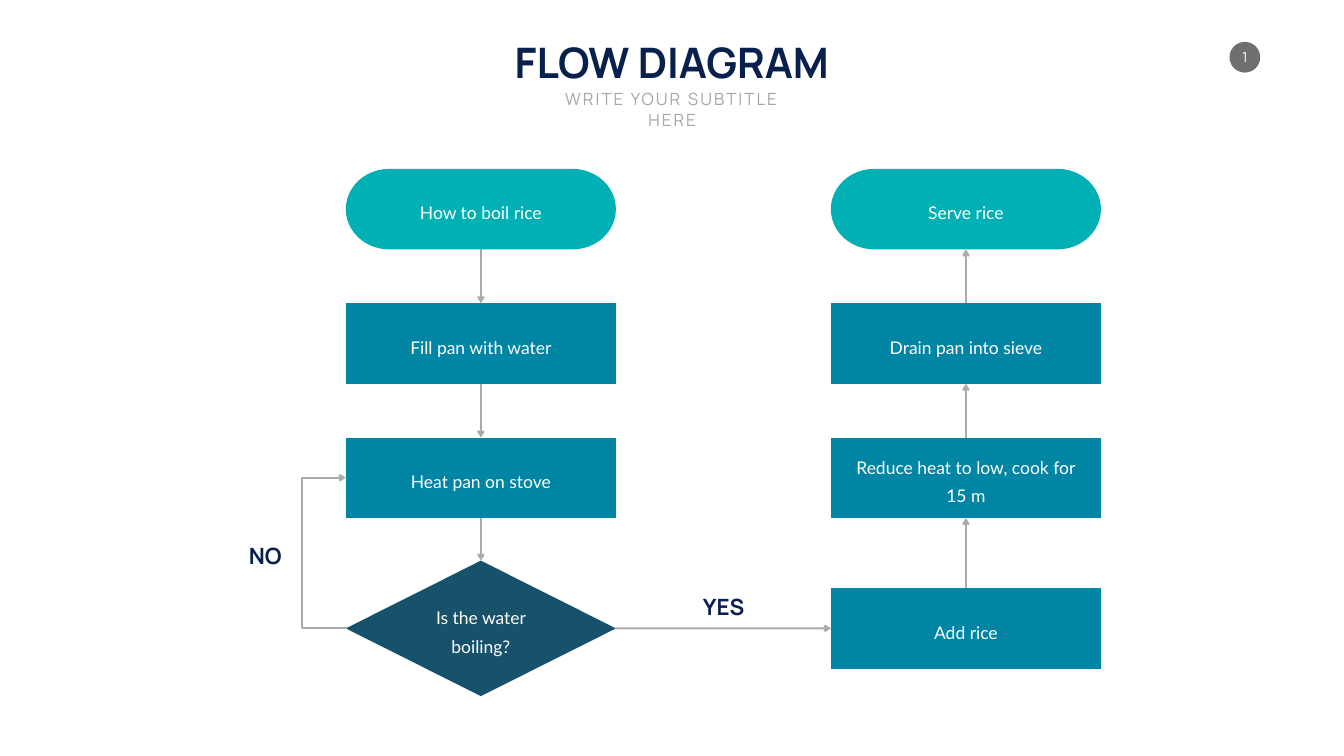
from dataclasses import dataclass

from lxml import etree
from pptx import Presentation
from pptx import util as u
from pptx.dml.color import RGBColor
from pptx.enum import shapes, text
from pptx.oxml.ns import qn


@dataclass(frozen=True)
class Theme:
    navy: str = "08204D"
    teal: str = "00B0B5"
    blue: str = "0085A4"
    slate: str = "18526A"
    line: str = "AAAAAA"
    muted: str = "A6A6A6"
    badge: str = "6D706D"
    white: str = "FFFFFF"
    heading_font: str = "Manrope"
    body_font: str = "Lato"
    title_size: float = 60
    subtitle_size: float = 24
    answer_size: float = 32
    node_size: float = 25
    badge_size: float = 20
    node_leading: float = 41
    line_width: float = 3


THEME = Theme()
COLUMNS = (24.23, 48.67)
ROWS = (10.54, 17.31, 24.08, 31.67)
NODE_W, NODE_H = 13.61, 4.06
DECISION_H = 6.83
LABEL_W, DECISION_LABEL_W = 12.47, 7.62
LABEL_HEIGHTS = {1: 1.57, 2: 3.05}
LOOP_X, LOOP_STEP = 15.24, 0.04
TOP, LEFT, BOTTOM, RIGHT = range(4)
KIND = shapes.MSO_SHAPE
ALIGN = text.PP_ALIGN

STYLES = {
    "terminator": (KIND.FLOWCHART_TERMINATOR, THEME.teal, NODE_H, LABEL_W),
    "process": (KIND.FLOWCHART_PROCESS, THEME.blue, NODE_H, LABEL_W),
    "decision": (KIND.FLOWCHART_DECISION, THEME.slate, DECISION_H, DECISION_LABEL_W),
}
NODES = {
    "start": ("terminator", 0, 0, ["How to boil rice"], 1),
    "serve": ("terminator", 1, 0, ["Serve rice"], 1),
    "fill": ("process", 0, 1, ["Fill pan with water"], 1),
    "drain": ("process", 1, 1, ["Drain pan into sieve"], 1),
    "heat": ("process", 0, 2, ["Heat pan on stove"], 1),
    "reduce": ("process", 1, 2, ["Reduce heat to low, cook for", "15 m"], 2),
    "boiling": ("decision", 0, 3, ["Is the water boiling?"], 2),
    "add": ("process", 1, 3, ["Add rice"], 1),
}
ARROWS = [
    ("start", BOTTOM, "fill", TOP),
    ("fill", BOTTOM, "heat", TOP),
    ("heat", BOTTOM, "boiling", TOP),
    ("boiling", RIGHT, "add", LEFT),
    ("add", TOP, "reduce", BOTTOM),
    ("reduce", TOP, "drain", BOTTOM),
    ("drain", TOP, "serve", BOTTOM),
]


def set_all(target, values):
    for name, value in values.items():
        setattr(target, name, value)


def box_cm(*lengths):
    return [u.Cm(length) for length in lengths]


def add_text(s, box, lines, size, color, font=THEME.heading_font, bold=False,
             align=ALIGN.CENTER, leading=None, tracking=None, frame=None):
    tf = s.shapes.add_textbox(*box_cm(*box)).text_frame
    set_all(tf, {"word_wrap": False, "auto_size": text.MSO_AUTO_SIZE.SHAPE_TO_FIT_TEXT,
                 **(frame or {})})
    for i, line in enumerate(lines):
        p = tf.add_paragraph() if i else tf.paragraphs[0]
        p.alignment = align
        if leading:
            p.line_spacing = u.Pt(leading)
        r = p.add_run()
        r.text = line
        set_all(r.font, {"name": font, "size": u.Pt(size), "bold": bold})
        r.font.color.rgb = RGBColor.from_string(color)
        if tracking:
            r.font._element.set("spc", str(tracking * 100))


def add_fill_shape(s, kind, box, color):
    sp = s.shapes.add_shape(kind, *box_cm(*box))
    sp.shadow.inherit = False
    sp.fill.solid()
    sp.fill.fore_color.rgb = RGBColor.from_string(color)
    sp.line.fill.background()
    return sp


def add_node(s, style, column, row, lines, line_count):
    kind, color, height, label_w = STYLES[style]
    x, y = COLUMNS[column], ROWS[row]
    label_h = LABEL_HEIGHTS[line_count]
    sp = add_fill_shape(s, kind, (x - NODE_W / 2, y - height / 2, NODE_W, height), color)
    add_text(s, (x - label_w / 2, y - label_h / 2, label_w, label_h), lines,
             THEME.node_size, THEME.white, THEME.body_font, leading=THEME.node_leading,
             frame={"word_wrap": True, "vertical_anchor": text.MSO_ANCHOR.MIDDLE})
    return sp


def add_arrow(s, kind, start=(0, 0), end=(0, 0)):
    c = s.shapes.add_connector(kind, *box_cm(*start, *end))
    c.line.width = u.Pt(THEME.line_width)
    c.line.color.rgb = RGBColor.from_string(THEME.line)
    etree.SubElement(c.line._get_or_add_ln(), qn("a:tailEnd"), type="arrow")
    etree.SubElement(c._element.spPr, qn("a:effectLst"))
    return c


def link_nodes(s, source, source_side, target, target_side):
    c = add_arrow(s, shapes.MSO_CONNECTOR.STRAIGHT)
    c.begin_connect(source, source_side)
    c.end_connect(target, target_side)


def add_loop(s):
    x = COLUMNS[0] - NODE_W / 2
    c = add_arrow(s, shapes.MSO_CONNECTOR.ELBOW, (x + LOOP_STEP, ROWS[3]), (x, ROWS[2]))
    bend = round((x + LOOP_STEP - LOOP_X) / LOOP_STEP * 100000)
    guides = c._element.spPr.find(qn("a:prstGeom")).get_or_add_avLst()
    etree.SubElement(guides, qn("a:gd"), name="adj1", fmla=f"val {bend}")


def add_badge(s):
    add_fill_shape(s, KIND.OVAL, (61.95, 2.11, 1.55, 1.55), THEME.badge)
    margins = dict.fromkeys(("margin_left", "margin_top", "margin_right", "margin_bottom"), 0)
    add_text(s, (62.2, 2.46, 1.04, 0.86), ["1"], THEME.badge_size, THEME.white,
             frame={"vertical_anchor": text.MSO_ANCHOR.MIDDLE, **margins})


def add_heading(s):
    add_text(s, (25.15, 1.7, 17.4, 2.82), ["FLOW DIAGRAM"], THEME.title_size,
             THEME.navy, bold=True)
    add_text(s, (26.97, 4.37, 13.79, 1.27), ["WRITE YOUR SUBTITLE HERE"],
             THEME.subtitle_size, THEME.muted, tracking=3, frame={"word_wrap": True})


def add_answer(s, box, word, align):
    add_text(s, box, [word], THEME.answer_size, THEME.navy, bold=True, align=align)


def main():
    prs = Presentation()
    set_all(prs, {"slide_width": u.Cm(67.72), "slide_height": u.Cm(38.1)})
    s = prs.slides.add_slide(prs.slide_layouts[6])
    add_badge(s)
    add_heading(s)
    nodes = {name: add_node(s, *node) for name, node in NODES.items()}
    for source, source_side, target, target_side in ARROWS:
        link_nodes(s, nodes[source], source_side, nodes[target], target_side)
    add_loop(s)
    add_answer(s, (12.19, 27.2, 2.26, 1.63), "NO", ALIGN.RIGHT)
    add_answer(s, (35.15, 29.79, 2.62, 1.63), "YES", ALIGN.CENTER)
    prs.save("out.pptx")


if __name__ == "__main__":
    main()
